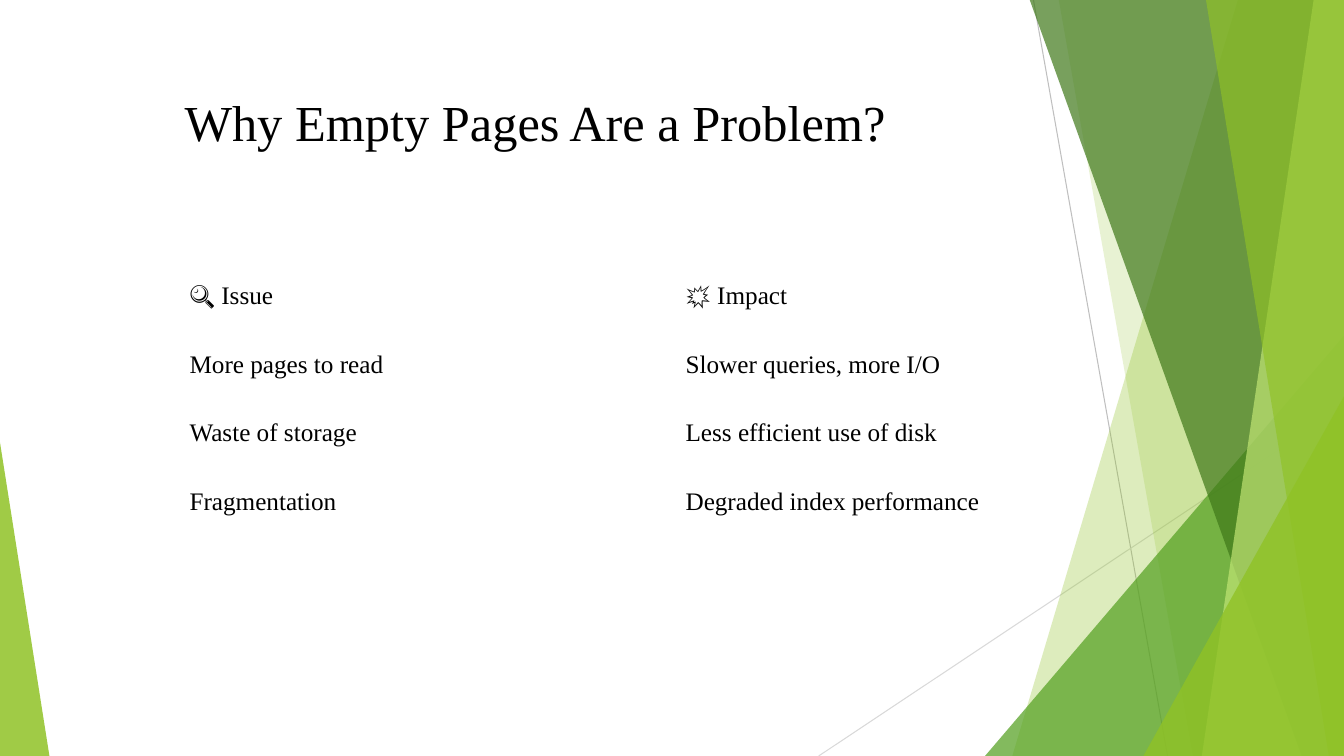
"""Build the slide on why empty pages are a problem, with a green faceted backdrop."""
from dataclasses import dataclass

from lxml import etree
from pptx import Presentation
from pptx.dml.color import RGBColor
from pptx.enum.shapes import MSO_CONNECTOR, MSO_SHAPE
from pptx.enum.text import MSO_ANCHOR, MSO_AUTO_SIZE, PP_ALIGN
from pptx.oxml.ns import qn
from pptx.util import Inches, Pt

STRAIGHT = MSO_CONNECTOR.STRAIGHT
TRIANGLE = MSO_SHAPE.ISOSCELES_TRIANGLE
MIDDLE = MSO_ANCHOR.MIDDLE
LEFT = PP_ALIGN.LEFT
NO_AUTOFIT = MSO_AUTO_SIZE.NONE

WIDTH, HEIGHT = 13.33, 7.5
FACET_TOP = -0.01
FONT = "Times New Roman"
NO_STYLE_NO_GRID = "{2D5ABB26-0587-4C30-8999-92F81FD0307C}"

BLACK = RGBColor(0x00, 0x00, 0x00)
GRAY = RGBColor(0xBF, 0xBF, 0xBF)
LIGHT_GRAY = RGBColor(0xD9, 0xD9, 0xD9)
LIME = RGBColor(0x90, 0xC2, 0x26)
PALE_LIME = RGBColor(0xC0, 0xE4, 0x74)
GREEN = RGBColor(0x54, 0xA0, 0x21)
DARK_GREEN = RGBColor(0x3F, 0x78, 0x19)


@dataclass
class Ray:
    """A thin line between two points."""
    x1: float
    y1: float
    x2: float
    y2: float
    color: RGBColor


@dataclass
class Facet:
    """A full-height slab reaching the right edge of the slide."""
    top_x: float
    bottom_x: float
    color: RGBColor
    opacity: int


@dataclass
class Wedge:
    """A right triangle standing on the bottom edge, with its apex at 0 or 1."""
    left: float
    top: float
    width: float
    apex: int
    color: RGBColor
    opacity: int


BACKDROP = [
    Ray(10.25, 0, 11.58, HEIGHT, GRAY),
    Ray(WIDTH, 4.03, 8.12, HEIGHT, LIGHT_GRAY),
    Facet(12.28, 10.04, LIME, 30),
    Facet(10.5, 11.83, LIME, 20),
    Wedge(9.77, 3.33, 3.56, 1, GREEN, 72),
    Facet(10.21, 12.91, DARK_GREEN, 70),
    Facet(13.03, 11.92, PALE_LIME, 70),
    Facet(11.96, 13.18, LIME, 65),
    Wedge(11.34, 3.93, 1.99, 1, LIME, 80),
    Wedge(0, 4.39, 0.49, 0, LIME, 85),
]

COLUMN_WIDTHS = [4.92, 5.11]
ROW_HEIGHT = 0.68
ROWS = [
    ("🔍 Issue", "💥 Impact"),
    ("More pages to read", "Slower queries, more I/O"),
    ("Waste of storage", "Less efficient use of disk"),
    ("Fragmentation", "Degraded index performance"),
]


def paint(sp, color: RGBColor, opacity: int) -> None:
    """Give a shape a translucent fill without outline or shadow."""
    sp.shadow.inherit = False
    sp.line.fill.background()
    sp.fill.solid()
    sp.fill.fore_color.rgb = color
    srgb = sp.fill._xPr.find(f".//{qn('a:srgbClr')}")
    etree.SubElement(srgb, qn("a:alpha"), val=str(opacity * 1000))


def draw_ray(s, ray: Ray) -> None:
    """Draw one thin line."""
    ends = [Inches(v) for v in (ray.x1, ray.y1, ray.x2, ray.y2)]
    line = s.shapes.add_connector(STRAIGHT, *ends)
    line.line.color.rgb = ray.color
    line.line.width = Pt(0.75)
    etree.SubElement(line._element.spPr, qn("a:effectLst"))


def draw_facet(s, facet: Facet) -> None:
    """Draw one slab as a closed outline."""
    corners = [(facet.top_x, FACET_TOP), (WIDTH, FACET_TOP),
               (WIDTH, HEIGHT), (facet.bottom_x, HEIGHT)]
    points = [(Inches(x), Inches(y)) for x, y in corners]
    builder = s.shapes.build_freeform(*points[0])
    builder.add_line_segments(points[1:], close=True)
    paint(builder.convert_to_shape(), facet.color, facet.opacity)


def draw_wedge(s, wedge: Wedge) -> None:
    """Draw one right triangle."""
    sp = s.shapes.add_shape(TRIANGLE, Inches(wedge.left), Inches(wedge.top),
                            Inches(wedge.width), Inches(HEIGHT - wedge.top))
    sp.adjustments[0] = wedge.apex
    paint(sp, wedge.color, wedge.opacity)


def format_paragraph(p, size: int) -> None:
    """Apply the slide's font to a paragraph."""
    p.alignment = LEFT
    p.font.name = FONT
    p.font.size = Pt(size)
    p.font.color.rgb = BLACK


def fill_title(s) -> None:
    """Place and format the title."""
    title = s.shapes.title
    title.left, title.top = Inches(0.73), Inches(0.78)
    title.width, title.height = Inches(11.62), Inches(1.14)
    tf = title.text_frame
    tf.text = "Why Empty Pages Are a Problem?"
    tf.auto_size = NO_AUTOFIT
    tf.vertical_anchor = MIDDLE
    tf.margin_left = Inches(1.1)
    tf.margin_bottom = Inches(0.34)
    format_paragraph(tf.paragraphs[0], 36)


def add_issue_table(s) -> None:
    """Add the table of issues and impacts."""
    frame = s.shapes.add_table(
        len(ROWS), len(COLUMN_WIDTHS), Inches(1.78), Inches(2.6),
        Inches(sum(COLUMN_WIDTHS)), Inches(ROW_HEIGHT * len(ROWS)))
    table = frame.table
    table.first_row = table.horz_banding = False
    table._tbl.tblPr.find(qn("a:tableStyleId")).text = NO_STYLE_NO_GRID
    for column, width in zip(table.columns, COLUMN_WIDTHS):
        column.width = Inches(width)
    for row, texts in zip(table.rows, ROWS):
        row.height = Inches(ROW_HEIGHT)
        for cell, text in zip(row.cells, texts):
            cell.text = text
            cell.vertical_anchor = MIDDLE
            cell.fill.background()
            format_paragraph(cell.text_frame.paragraphs[0], 18)


def main() -> None:
    """Build and save the presentation."""
    prs = Presentation()
    prs.slide_width, prs.slide_height = Inches(WIDTH), Inches(HEIGHT)
    s = prs.slides.add_slide(prs.slide_layouts[5])
    painters = {Ray: draw_ray, Facet: draw_facet, Wedge: draw_wedge}
    for part in BACKDROP:
        painters[type(part)](s, part)
    fill_title(s)
    add_issue_table(s)
    prs.save("out.pptx")


if __name__ == "__main__":
    main()
